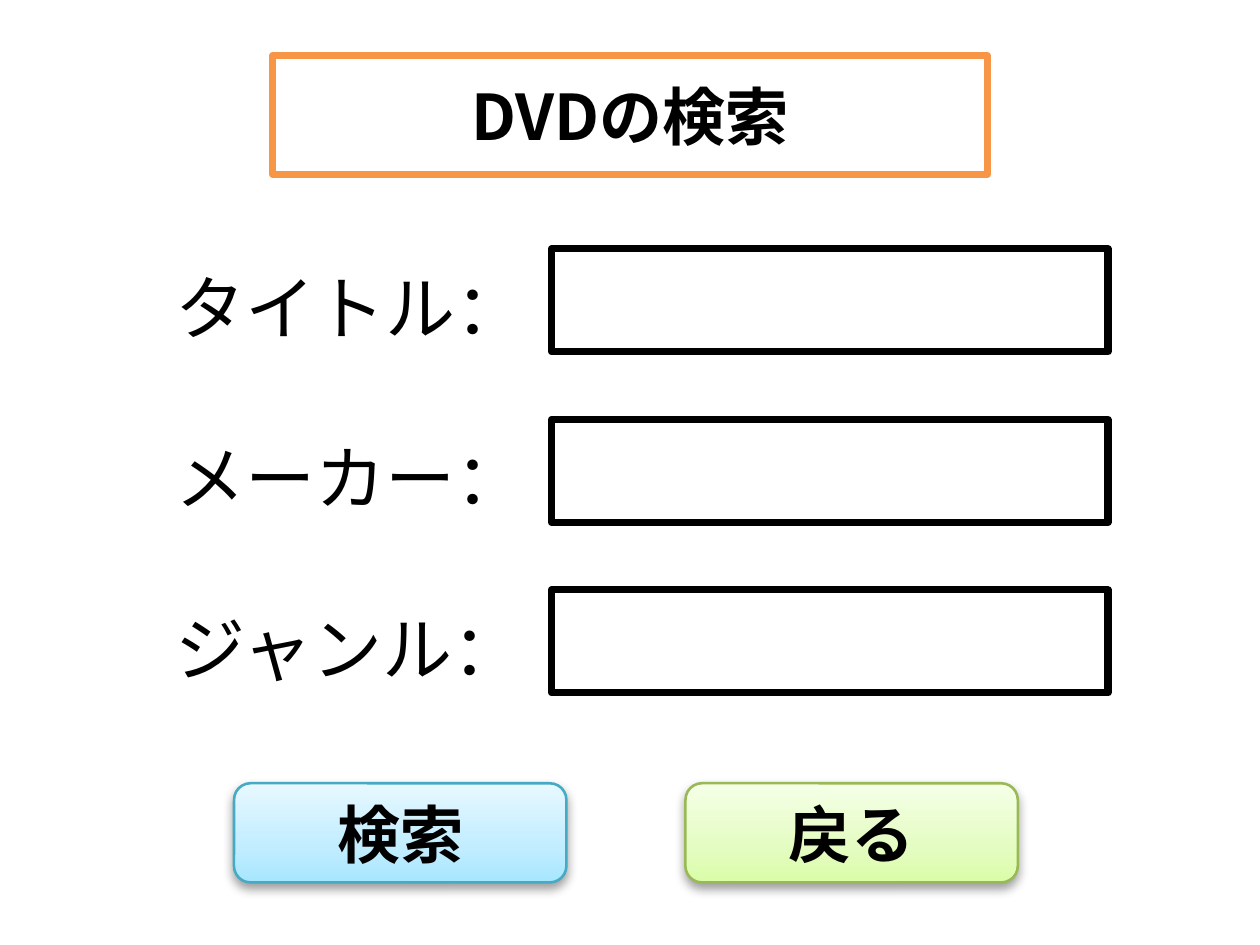
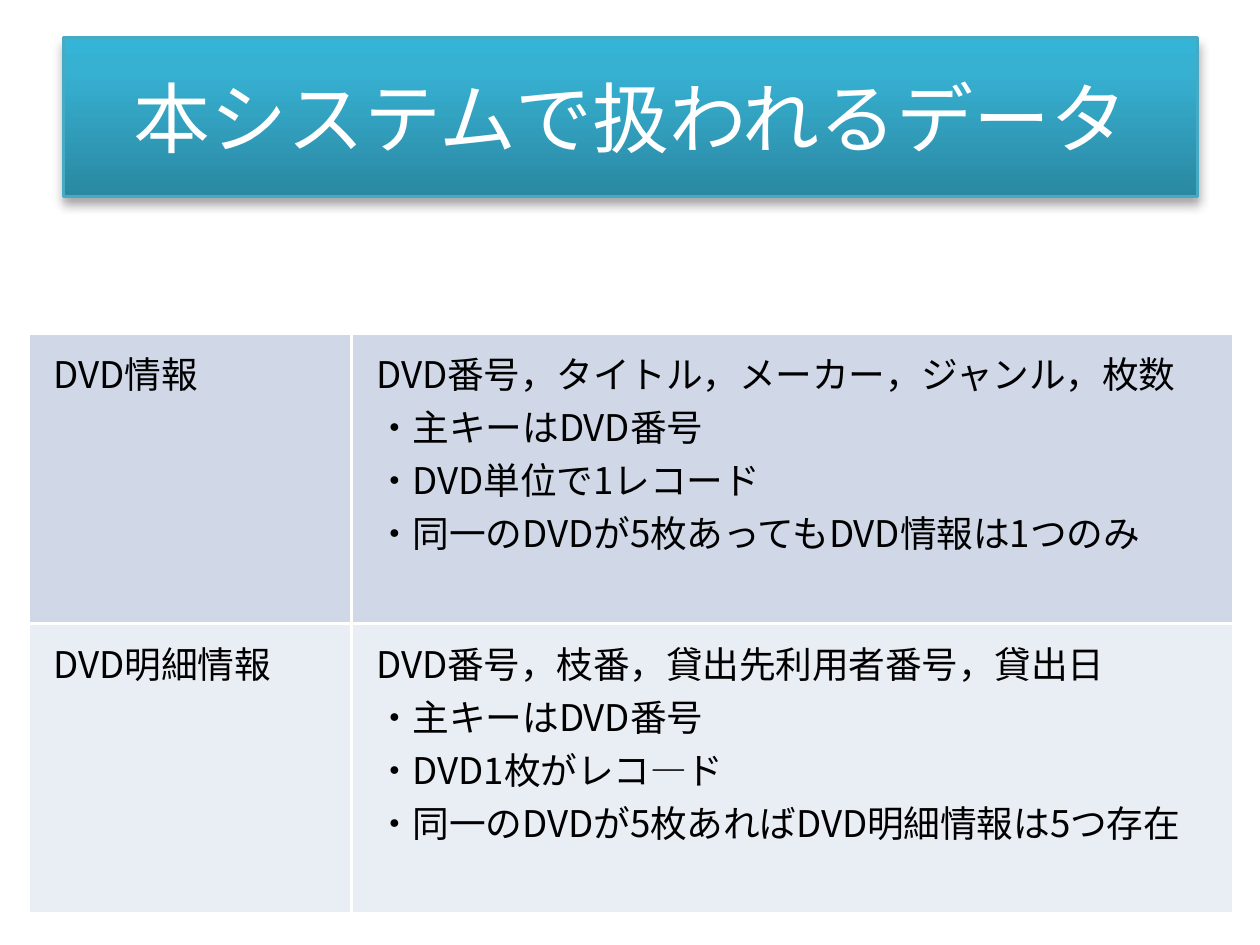
from lxml.etree import SubElement
from pptx import Presentation
from pptx.dml.color import RGBColor
from pptx.enum.shapes import MSO_SHAPE as Preset
from pptx.enum.text import MSO_ANCHOR as Anchor, MSO_AUTO_SIZE as AutoSize, PP_ALIGN as Align
from pptx.oxml.ns import qn
from pptx.util import Cm, Pt

COLORS = {
    "text": "000000", "paper": "FFFFFF", "orange": "F79646", "teal": "46AAC5", "green": "98B955",
    "row_dark": "D0D8E8", "row_light": "E9EDF4",
}
GRADIENTS = {
    "title": [(0, "2A88A2"), (80, "37B1D2"), (100, "34B4D6")],
    "search": [(0, "A7E6FF"), (35, "C1EDFF"), (100, "E7F8FF")],
    "back": [(0, "DAFDA7"), (35, "E4FCC2"), (100, "F5FFE7")],
}
JAPANESE_FONT = "Noto Sans CJK JP"

SEARCH_TITLE = "DVDの検索"
FIELDS = ["タイトル：", "メーカー：", "ジャンル："]
BUTTONS = [("検索", "search", "teal"), ("戻る", "back", "green")]
DATA_TITLE = "本システムで扱われるデータ"
DATA_ROWS = [
    ("DVD情報", [
        "DVD番号，タイトル，メーカー，ジャンル，枚数",
        "・主キーはDVD番号",
        "・DVD単位で1レコード",
        "・同一のDVDが5枚あってもDVD情報は1つのみ",
    ], "row_dark"),
    ("DVD明細情報", [
        "DVD番号，枝番，貸出先利用者番号，貸出日",
        "・主キーはDVD番号",
        "・DVD1枚がレコ―ド",
        "・同一のDVDが5枚あればDVD明細情報は5つ存在",
    ], "row_light"),
]

FIELD_TOP, FIELD_PITCH = 2.51, 1.72
BUTTON_LEFT, BUTTON_PITCH = 2.36, 4.55


def rgb(name):
    return RGBColor.from_string(COLORS[name])


def write(text_frame, text, size, color="text", bold=False, align=None, font_name=JAPANESE_FONT):
    text_frame.text = text
    for paragraph in text_frame.paragraphs:
        paragraph.alignment = align
        for run in paragraph.runs:
            font = run.font
            font.size, font.bold, font.name = Pt(size), bold, font_name
            font.color.rgb = rgb(color)
            SubElement(run._r.get_or_add_rPr(), qn("a:ea"), typeface=JAPANESE_FONT)


def fill_plain(shape, fill, line, width):
    shape.fill.solid()
    shape.fill.fore_color.rgb = rgb(fill)
    outline(shape, line, width)


def outline(shape, line, width):
    shape.line.color.rgb = rgb(line)
    shape.line.width = Pt(width)
    shape.shadow.inherit = False


def fill_glossy(shape, gradient, line, shadow_alpha, shadow_distance):
    shape.fill.gradient()
    shape.fill.gradient_angle = 90
    properties = shape._element.spPr
    stops = properties.find(qn("a:gradFill")).find(qn("a:gsLst"))
    stops.clear()
    for position, color in GRADIENTS[gradient]:
        stop = SubElement(stops, qn("a:gs"), pos=str(position * 1000))
        SubElement(stop, qn("a:srgbClr"), val=color)
    outline(shape, line, 0.75)
    shadow = SubElement(
        properties.find(qn("a:effectLst")), qn("a:outerShdw"), blurRad=str(Pt(3.1)),
        dist=str(Pt(shadow_distance)), dir="5400000", rotWithShape="0",
    )
    color = SubElement(shadow, qn("a:srgbClr"), val=COLORS["text"])
    SubElement(color, qn("a:alpha"), val=str(shadow_alpha * 1000))


def add_title_slide(presentation, text, box, geometry, **style):
    slide = presentation.slides.add_slide(presentation.slide_layouts[5])
    title = slide.shapes.title
    title.left, title.top, title.width, title.height = map(Cm, box)
    preset = title._element.spPr.makeelement(qn("a:prstGeom"), prst=geometry)
    SubElement(preset, qn("a:avLst"))
    title._element.spPr.insert(1, preset)
    text_frame = title.text_frame
    text_frame.auto_size = AutoSize.NONE
    text_frame.vertical_anchor = Anchor.MIDDLE
    write(text_frame, text, align=Align.CENTER, **style)
    return slide, title


def add_field(slide, label, top):
    group = slide.shapes.add_group_shape()
    caption = group.shapes.add_textbox(Cm(1.52), Cm(top + 0.03), Cm(4.19), Cm(1.12))
    caption.text_frame.word_wrap = True
    caption.text_frame.auto_size = AutoSize.SHAPE_TO_FIT_TEXT
    write(caption.text_frame, label, 20)
    entry = group.shapes.add_shape(Preset.RECTANGLE, Cm(5.56), Cm(top), Cm(5.61), Cm(1.04))
    fill_plain(entry, "paper", "text", 2)


def add_button(slide, text, gradient, line, left):
    button = slide.shapes.add_shape(Preset.ROUNDED_RECTANGLE, Cm(left), Cm(7.9), Cm(3.35), Cm(1))
    fill_glossy(button, gradient, line, 38, 1.6)
    button.text_frame.vertical_anchor = Anchor.MIDDLE
    write(button.text_frame, text, 18, bold=True, align=Align.CENTER)


def build_search_slide(presentation):
    slide, title = add_title_slide(
        presentation, SEARCH_TITLE, (2.75, 0.56, 7.2, 1.2), "roundRect", size=18, bold=True
    )
    fill_plain(title, "paper", "orange", 2)
    for index, label in enumerate(FIELDS):
        add_field(slide, label, FIELD_TOP + index * FIELD_PITCH)
    for index, (text, gradient, line) in enumerate(BUTTONS):
        add_button(slide, text, gradient, line, BUTTON_LEFT + index * BUTTON_PITCH)


def build_data_slide(presentation):
    slide, title = add_title_slide(
        presentation, DATA_TITLE, (0.64, 0.38, 11.43, 1.6), "rect",
        size=22, color="paper", font_name="Calibri",
    )
    fill_glossy(title, "title", "teal", 35, 1.8)
    text_frame = title.text_frame
    text_frame.margin_left = text_frame.margin_right = Cm(0.13)
    text_frame.margin_top = text_frame.margin_bottom = Cm(0.06)

    table = slide.shapes.add_table(
        len(DATA_ROWS), 2, Cm(0.29), Cm(3.36), Cm(12.14), Cm(4.06)
    ).table
    table.first_row = table.horz_banding = False
    for column, width in zip(table.columns, (3.25, 8.89)):
        column.width = Cm(width)
    for row, (name, details, fill) in zip(table.rows, DATA_ROWS):
        for cell, text in zip(row.cells, (name, "\n".join(details))):
            cell.fill.solid()
            cell.fill.fore_color.rgb = rgb(fill)
            write(cell.text_frame, text, 10.5)


def main():
    presentation = Presentation()
    presentation.slide_width, presentation.slide_height = Cm(12.7), Cm(9.53)
    build_search_slide(presentation)
    build_data_slide(presentation)
    presentation.save("out.pptx")


if __name__ == "__main__":
    main()
